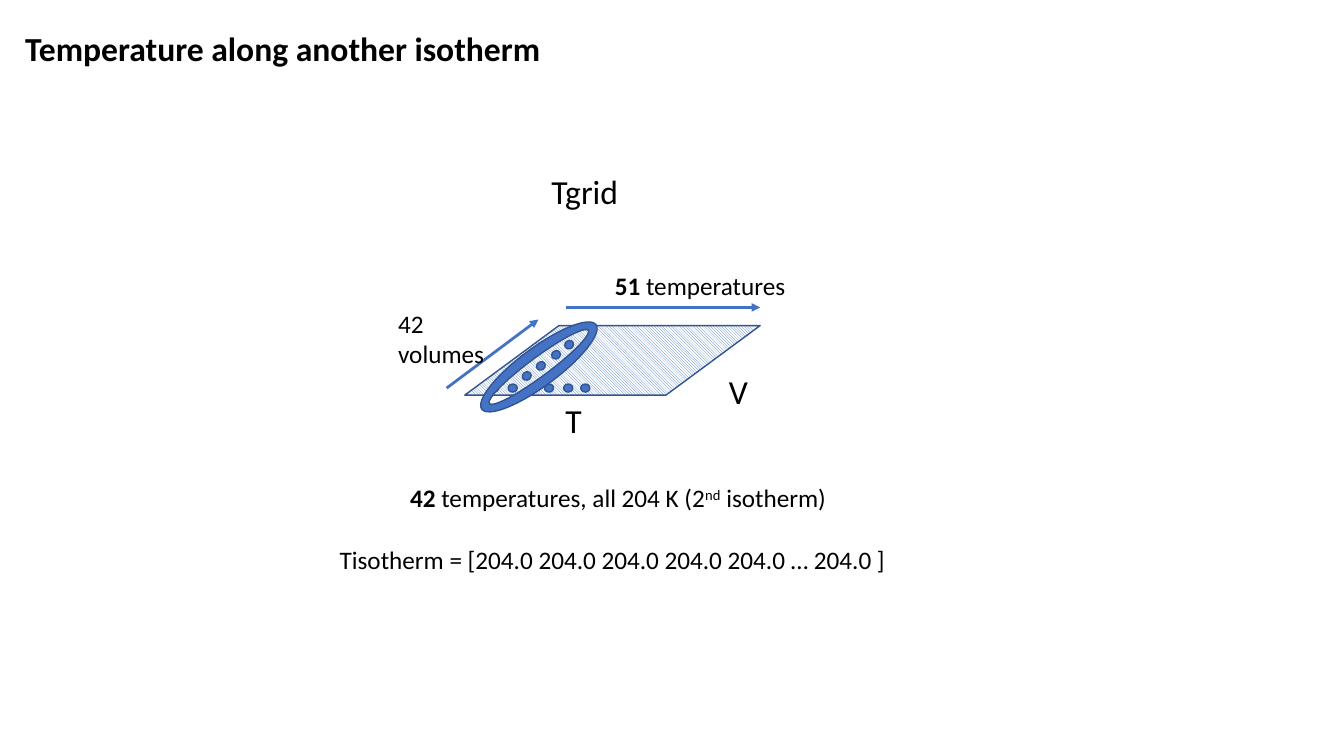
from dataclasses import dataclass

from lxml import etree
from pptx import Presentation
from pptx import util as u
from pptx.dml import color
from pptx.enum import dml, shapes, text
from pptx.oxml import ns

PX = 9144  # EMU in one px, at 100 px to the inch


@dataclass(frozen=True)
class Theme:
    font: str = "Calibri"
    ink: str = "000000"
    blue: str = "4472C4"
    edge: str = "325491"
    paper: str = "FFFFFF"
    head: int = 24
    body: int = 18
    rim: int = 1
    arrow: int = 2


@dataclass(frozen=True)
class Run:
    text: str
    bold: bool = False
    raised: bool = False


@dataclass(frozen=True)
class Label:
    box: tuple[int, int, int, int]
    lines: list[list[Run]]
    size: int
    wrap: bool = True
    align: text.PP_ALIGN = text.PP_ALIGN.LEFT


@dataclass(frozen=True)
class Arrow:
    start: tuple[int, int]
    end: tuple[int, int]


@dataclass(frozen=True)
class Dot:
    left: int
    top: int
    turn: float = 0


THEME = Theme()
TILT = 323.5
TITLE = Label((15, 23, 1304, 50), [[Run("Temperature along another isotherm", True)]], THEME.head)
COUNT = Label((600, 263, 226, 40), [[Run("51", True), Run(" temperatures")]], THEME.body)
AXES = [
    Label((551, 392, 114, 50), [[Run("T")]], THEME.head),
    Label((713, 363, 114, 50), [[Run("V")]], THEME.head),
]
ROWS = Label((385, 301, 128, 71), [[Run("42 volumes")]], THEME.body)
NOTE = Label(
    (324, 474, 567, 131),
    [
        [Run("42", True), Run(" temperatures, all 204 K (2"), Run("nd", raised=True), Run(" isotherm)")],
        [Run("Tisotherm = [204.0 204.0 204.0 204.0 204.0 … 204.0 ]")],
    ],
    THEME.body, False, text.PP_ALIGN.CENTER,
)
GRID = Label((537, 165, 87, 50), [[Run("Tgrid")]], THEME.head, False)
ACROSS = Arrow((561, 305), (754, 305))
ALONG = Arrow((443, 385), (534, 317))
BASE = [Dot(486, 381, TILT)] + [Dot(x, 381) for x in (504, 524, 540, 559, 576)]
SLOPE = [Dot(x, y, TILT) for x, y in ((518, 369), (532, 359), (547, 348), (560, 338))]


def px(*sizes: int) -> list[u.Emu]:
    return [u.Emu(size * PX) for size in sizes]


def rgb(code: str) -> color.RGBColor:
    return color.RGBColor.from_string(code)


def write(shape, label: Label) -> None:
    """Fill a text box or placeholder with the label's lines."""
    frame = shape.text_frame
    frame.word_wrap = label.wrap
    frame.auto_size = text.MSO_AUTO_SIZE.SHAPE_TO_FIT_TEXT
    frame.vertical_anchor = text.MSO_ANCHOR.TOP
    for i, line in enumerate(label.lines):
        para = frame.add_paragraph() if i else frame.paragraphs[0]
        para.alignment = label.align
        if i:
            para.space_before = u.Pt(22)
        para.font.name = THEME.font
        para.font.size = u.Pt(label.size)
        para.font.color.rgb = rgb(THEME.ink)
        for part in line:
            run = para.add_run()
            run.text = part.text
            run.font.bold = part.bold
            if part.raised:
                run.font._element.set("baseline", "30000")


def add_label(slide, label: Label):
    box = slide.shapes.add_textbox(*px(*label.box))
    write(box, label)
    return box


def add_arrow(slide, arrow: Arrow) -> None:
    line = slide.shapes.add_connector(
        shapes.MSO_CONNECTOR.STRAIGHT, *px(*arrow.start, *arrow.end))
    line.line.color.rgb = rgb(THEME.blue)
    line.line.width = u.Pt(THEME.arrow)
    etree.SubElement(line.line._get_or_add_ln(), ns.qn("a:tailEnd"), type="triangle")
    etree.SubElement(line._element.spPr, ns.qn("a:effectLst"))


def add_form(slide, kind: shapes.MSO_SHAPE, box: tuple[int, int, int, int], turn: float = 0):
    form = slide.shapes.add_shape(kind, *px(*box))
    form.rotation = turn
    form.shadow.inherit = False
    form.fill.solid()
    form.fill.fore_color.rgb = rgb(THEME.blue)
    form.line.color.rgb = rgb(THEME.edge)
    form.line.width = u.Pt(THEME.rim)
    return form


def add_dots(slide, dots: list[Dot]) -> None:
    for dot in dots:
        add_form(slide, shapes.MSO_SHAPE.OVAL, (dot.left, dot.top, 9, 8), dot.turn)


def add_plane(slide) -> None:
    """Draw the hatched grid of temperatures and volumes."""
    plane = add_form(slide, shapes.MSO_SHAPE.PARALLELOGRAM, (461, 323, 293, 69))
    plane.adjustments[0] = 1.354
    plane.fill.patterned()
    plane.fill.pattern = dml.MSO_PATTERN.LIGHT_DOWNWARD_DIAGONAL
    plane.fill.fore_color.rgb = rgb(THEME.blue)
    plane.fill.back_color.rgb = rgb(THEME.paper)


def main() -> None:
    deck = Presentation()
    deck.slide_width, deck.slide_height = px(1333, 750)
    slide = deck.slides.add_slide(deck.slide_layouts[5])
    title = slide.shapes.title
    title.left, title.top, title.width, title.height = px(*TITLE.box)
    write(title, TITLE)

    add_arrow(slide, ACROSS)
    add_label(slide, COUNT)
    add_plane(slide)
    for axis in AXES:
        add_label(slide, axis)
    add_dots(slide, BASE)
    add_arrow(slide, ALONG)
    add_label(slide, ROWS)
    add_form(slide, shapes.MSO_SHAPE.DONUT, (464, 345, 141, 38), TILT)
    note = add_label(slide, NOTE)
    first = note.text_frame.paragraphs[0]
    first._p.get_or_add_pPr().set("marL", str(11 * PX))
    add_label(slide, GRID)
    add_dots(slide, SLOPE)
    deck.save("out.pptx")


if __name__ == "__main__":
    main()
